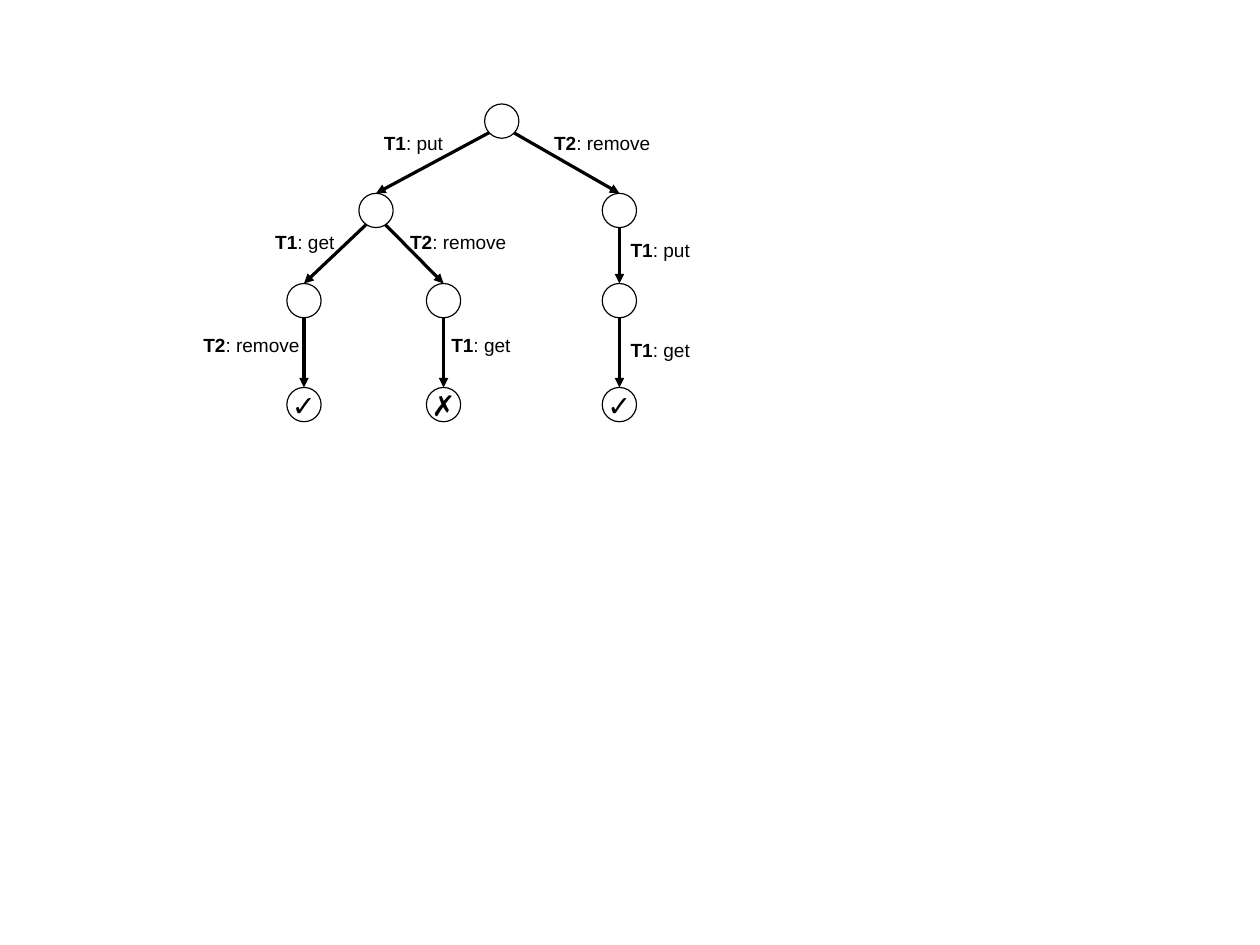
import pptx
import pptx.dml.color
import pptx.enum.shapes
import pptx.enum.text
import pptx.oxml.ns
import pptx.util
from lxml import etree

Pt = pptx.util.Pt
BLACK = pptx.dml.color.RGBColor(0, 0, 0)
WHITE = pptx.dml.color.RGBColor(255, 255, 255)
ALIGN = pptx.enum.text.PP_ALIGN
ANCHOR = pptx.enum.text.MSO_ANCHOR
FIT = pptx.enum.text.MSO_AUTO_SIZE


def write(frame, text, lead="", size=12, align=ALIGN.LEFT,
          anchor=ANCHOR.TOP, fit=FIT.NONE):
    """Fill a frame with text after an optional bold lead."""
    frame.word_wrap = False
    frame.auto_size = fit
    frame.vertical_anchor = anchor
    para = frame.paragraphs[0]
    para.alignment = align
    for part, bold in ((lead, True), (text, False)):
        if part:
            run = para.add_run()
            run.text = part
            run.font.name = "Arial"
            run.font.size = Pt(size)
            run.font.bold = bold
            run.font.color.rgb = BLACK


class Tree:
    side = 21.6  # node diameter
    line = 0     # hairline

    def __init__(self, slide):
        self.shapes = slide.shapes

    def stroke(self, item):
        item.line.color.rgb = BLACK
        item.line.width = Pt(self.line)

    def node(self, x, y, mark):
        half = self.side / 2
        oval = self.shapes.add_shape(
            pptx.enum.shapes.MSO_SHAPE.OVAL,
            Pt(x - half), Pt(y - half), Pt(self.side), Pt(self.side))
        oval.shadow.inherit = False
        oval.fill.solid()
        oval.fill.fore_color.rgb = WHITE
        self.stroke(oval)
        if mark:
            write(oval.text_frame, mark, size=18,
                  align=ALIGN.CENTER, anchor=ANCHOR.MIDDLE)

    def edge(self, start, end):
        """Arrow from inside the parent to the top of the child."""
        link = self.shapes.add_connector(
            pptx.enum.shapes.MSO_CONNECTOR.STRAIGHT,
            Pt(start[0]), Pt(start[1] + 3),
            Pt(end[0]), Pt(end[1] - self.side / 2))
        self.stroke(link)
        tag = pptx.oxml.ns.qn
        etree.SubElement(link.line._get_or_add_ln(), tag("a:tailEnd"),
                         type="triangle")
        etree.SubElement(link._element.spPr, tag("a:effectLst"))

    def label(self, x, y, thread, call):
        wide = 75 if call == "remove" else 52
        box = self.shapes.add_textbox(Pt(x), Pt(y), Pt(wide), Pt(21))
        write(box.text_frame, f": {call}", lead=thread, fit=FIT.SHAPE_TO_FIT_TEXT)


deck = pptx.Presentation()
deck.slide_width, deck.slide_height = Pt(793.7), Pt(595.3)
tree = Tree(deck.slides.add_slide(deck.slide_layouts[6]))

# Node centres by level, with the verdict on each leaf
ROWS = (76.3, 132.6, 189.4, 254.9)
NODES = {
    "root": (316.1, 0, ""),
    "put": (236.9, 1, ""),
    "rem": (390.2, 1, ""),
    "put get": (191.5, 2, ""),
    "put rem": (279.4, 2, ""),
    "rem put": (390.2, 2, ""),
    "put get rem": (191.5, 3, "✓"),
    "put rem get": (279.4, 3, "✗"),
    "rem put get": (390.2, 3, "✓"),
}

# Steps: parent, child, thread, call, label left and top
STEPS = (
    ("root", "put", "T1", "put", 234.7, 79.2),
    ("root", "rem", "T2", "remove", 342, 79.2),
    ("put", "put get", "T1", "get", 166.3, 141.8),
    ("put", "put rem", "T2", "remove", 251.3, 141.8),
    ("rem", "rem put", "T1", "put", 390.2, 146.9),
    ("put get", "put get rem", "T2", "remove", 121, 206.6),
    ("put rem", "put rem get", "T1", "get", 277.2, 206.6),
    ("rem put", "rem put get", "T1", "get", 390.2, 209.5),
)
spots = {name: (x, ROWS[row]) for name, (x, row, mark) in NODES.items()}

# Arrows lie below the nodes, labels above
for up, down, *rest in STEPS:
    tree.edge(spots[up], spots[down])
for name, (x, row, mark) in NODES.items():
    tree.node(*spots[name], mark)
for up, down, thread, call, x, y in STEPS:
    tree.label(x, y, thread, call)

deck.save("out.pptx")
